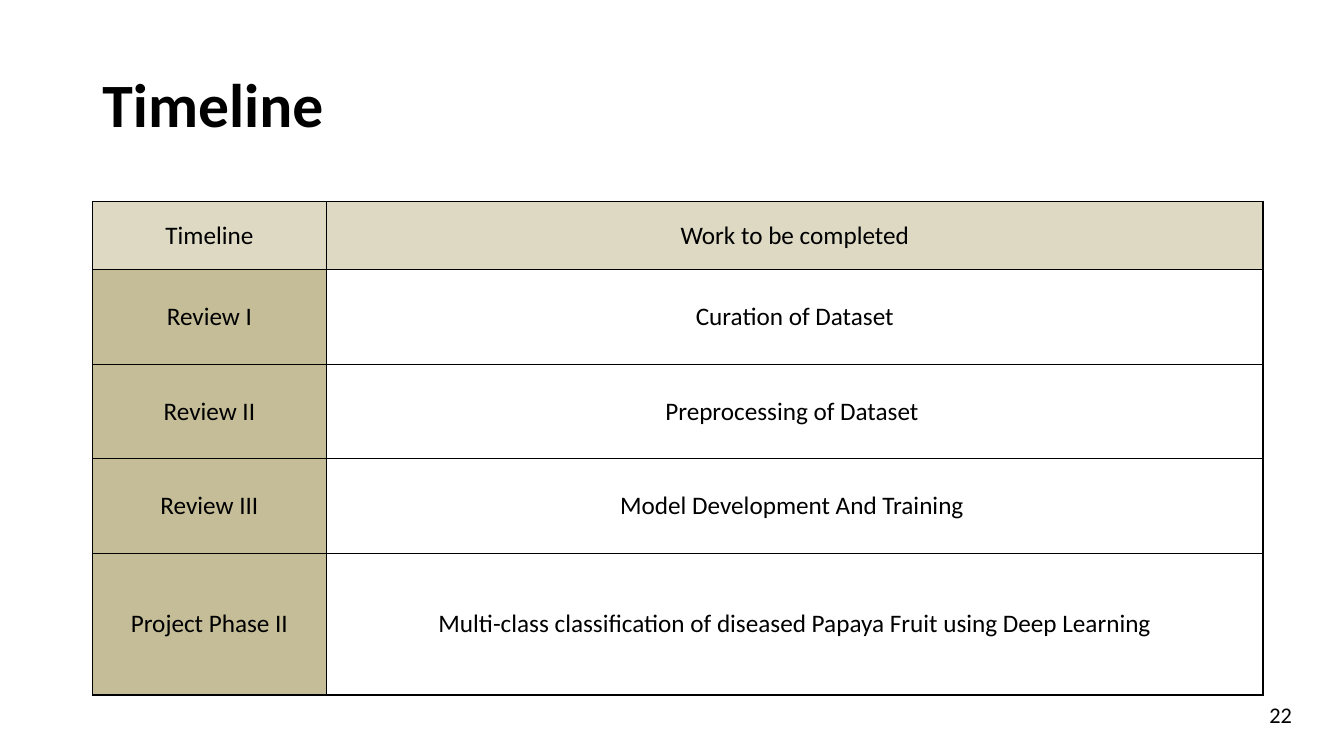
from lxml.etree import SubElement
from pptx import Presentation
from pptx.dml.color import RGBColor
from pptx.enum.text import MSO_ANCHOR as Anchor, MSO_AUTO_SIZE as AutoSize, PP_ALIGN as Align
from pptx.oxml.ns import qn
from pptx.util import Pt

EMU_PER_PX = 9525  # 96 px to the inch
FONT = "Calibri"
COLORS = {"ink": "000000", "header": "DDD9C3", "stage": "C4BD97"}
COLUMN_WIDTHS = [223, 892]
ROW_HEIGHTS = [65, 90, 90, 90, 135]
SCHEDULE = [
    ("Timeline", "Work to be completed"),
    ("Review I", "Curation of Dataset"),
    ("Review II", "Preprocessing of Dataset "),
    ("Review III", "Model Development And Training "),
    ("Project Phase II", "Multi-class classification of diseased Papaya Fruit using Deep Learning"),
]


def px(length):
    return length * EMU_PER_PX


def color(name):
    return RGBColor.from_string(COLORS[name])


def place(shape, left, top, width, height):
    shape.left, shape.top = px(left), px(top)
    shape.width, shape.height = px(width), px(height)


def write(frame, text, size, align, anchor, bold=False):
    frame.text = text
    frame.word_wrap = True
    frame.vertical_anchor = anchor
    para = frame.paragraphs[0]
    para.alignment = align
    font = para.font
    font.name, font.size, font.bold = FONT, Pt(size), bold
    font.color.rgb = color("ink")


def add_title(page, text):
    title = page.shapes.title
    place(title, 88, 58, 1192, 81)
    write(title.text_frame, text, 44, Align.LEFT, Anchor.TOP, bold=True)
    title.text_frame.auto_size = AutoSize.SHAPE_TO_FIT_TEXT


def add_borders(cell):
    properties = cell._tc.get_or_add_tcPr()
    for side in ("a:lnL", "a:lnR", "a:lnT", "a:lnB"):
        line = SubElement(properties, qn(side), w=str(Pt(1)))
        fill = SubElement(line, qn("a:solidFill"))
        SubElement(fill, qn("a:srgbClr"), val=COLORS["ink"])


def fill_cell(cell, row, column):
    if row and column:
        cell.fill.background()
    else:
        cell.fill.solid()
        cell.fill.fore_color.rgb = color("stage" if row else "header")


def add_schedule(page):
    frame = page.shapes.add_table(
        len(SCHEDULE), len(COLUMN_WIDTHS), px(88), px(192),
        px(sum(COLUMN_WIDTHS)), px(sum(ROW_HEIGHTS)))
    table = frame.table
    table.first_row = table.horz_banding = False
    for column, width in zip(table.columns, COLUMN_WIDTHS):
        column.width = px(width)
    for row, height in zip(table.rows, ROW_HEIGHTS):
        row.height = px(height)
    for row, texts in enumerate(SCHEDULE):
        for column, text in enumerate(texts):
            cell = table.cell(row, column)
            write(cell.text_frame, text, 18, Align.CENTER, None)
            cell.vertical_anchor = Anchor.MIDDLE
            add_borders(cell)  # the schema wants borders before the fill
            fill_cell(cell, row, column)


def add_page_number(page, number):
    box = page.shapes.add_textbox(px(952), px(662), px(288), px(38))
    write(box.text_frame, number, 16, Align.RIGHT, Anchor.MIDDLE)


def main():
    deck = Presentation()
    deck.slide_width, deck.slide_height = px(1280), px(720)
    page = deck.slides.add_slide(deck.slide_layouts.get_by_name("Title Only"))
    add_title(page, "Timeline")
    add_schedule(page)
    add_page_number(page, "22")
    deck.save("out.pptx")


if __name__ == "__main__":
    main()
